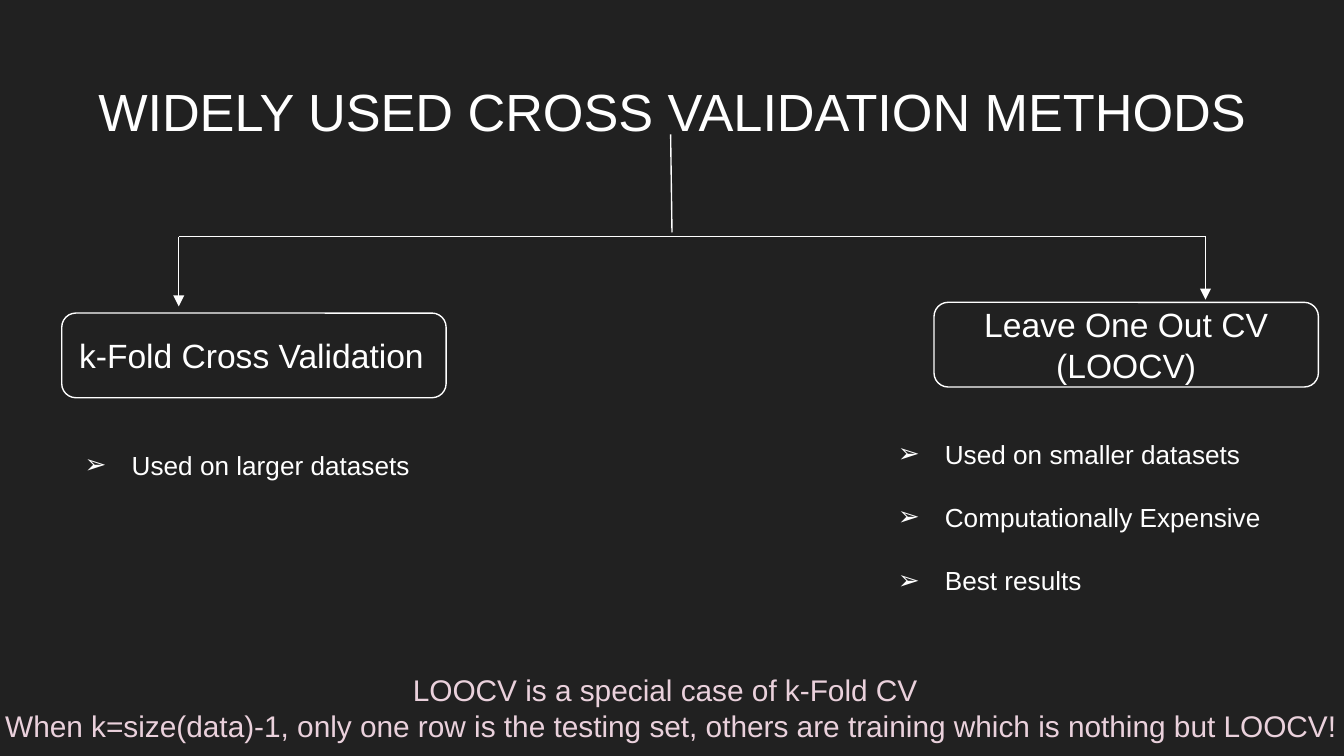
from lxml import etree
from pptx import Presentation
from pptx.dml.color import RGBColor
from pptx.enum.shapes import MSO_CONNECTOR, MSO_SHAPE
from pptx.enum.text import MSO_ANCHOR, MSO_AUTO_SIZE, PP_ALIGN
from pptx.oxml.ns import qn
from pptx.util import Inches, Pt

STRAIGHT = MSO_CONNECTOR.STRAIGHT
ROUNDED = MSO_SHAPE.ROUNDED_RECTANGLE
TOP, MIDDLE = MSO_ANCHOR.TOP, MSO_ANCHOR.MIDDLE
LEFT, CENTER = PP_ALIGN.LEFT, PP_ALIGN.CENTER

COLORS = {"background": "212121", "main": "FFFFFF", "note": "EAD1DC"}
FONT = "Arial"
TWO_CONTENT_LAYOUT = 3


def color(name):
    return RGBColor.from_string(COLORS[name])


def place(shape, box):
    shape.left, shape.top, shape.width, shape.height = (Inches(v) for v in box)


def write(shape, lines, size, align, anchor=TOP, color_name="main", gap=0):
    """Fill a shape with one paragraph per line and return the paragraphs."""
    frame = shape.text_frame
    frame.word_wrap = True
    frame.auto_size = MSO_AUTO_SIZE.NONE
    frame.vertical_anchor = anchor
    frame.margin_left = frame.margin_right = Inches(0.1)
    frame.margin_top = frame.margin_bottom = Inches(0.1)
    for index, line in enumerate(lines):
        paragraph = frame.add_paragraph() if index else frame.paragraphs[0]
        paragraph.alignment = align
        paragraph.space_before = Pt(gap if index else 0)
        run = paragraph.add_run()
        run.text = line
        run.font.name = FONT
        run.font.size = Pt(size)
        run.font.color.rgb = color(color_name)
    return frame.paragraphs


def indent(paragraph, first_line):
    properties = paragraph._p.get_or_add_pPr()
    properties.set("marL", str(Inches(0.5)))
    properties.set("indent", str(Inches(first_line)))
    return properties


def add_bullet(paragraph):
    properties = indent(paragraph, -0.35)
    bullet_color = etree.SubElement(properties, qn("a:buClr"))
    etree.SubElement(bullet_color, qn("a:srgbClr"), val=COLORS["main"])
    etree.SubElement(properties, qn("a:buFont"), typeface=FONT)
    etree.SubElement(properties, qn("a:buChar"), char="➢")


def add_line(slide, start, end, arrow=False):
    connector = slide.shapes.add_connector(
        STRAIGHT, *(Inches(v) for v in (*start, *end)))
    connector.line.color.rgb = color("main")
    connector.line.width = Pt(0.75)
    if arrow:
        etree.SubElement(connector.line._get_or_add_ln(), qn("a:tailEnd"), type="triangle")
    etree.SubElement(connector._element.spPr, qn("a:effectLst"))


def add_title(slide, box, text):
    place(slide.shapes.title, box)
    write(slide.shapes.title, [text], 28, CENTER)


def add_tree(slide, box, arrow_lengths):
    """Draw a stem down to a crossbar with an arrow at each of its ends."""
    left, top, width, height = box
    bar_y = top + height
    add_line(slide, (left, bar_y), (left + width, bar_y))
    middle = left + width / 2
    add_line(slide, (middle - 0.16, top), (middle - 0.15, bar_y - 0.03))
    for x, length in zip((left, left + width), arrow_lengths):
        add_line(slide, (x, bar_y), (x, bar_y + length), arrow=True)


def add_method(slide, box, name, align, placeholder, list_offset, list_width, points):
    """Place a method's name box and, below it, the list of its traits."""
    left, top, width, height = box
    shape = slide.shapes.add_shape(ROUNDED, *(Inches(v) for v in box))
    shape.shadow.inherit = False
    shape.fill.background()
    shape.line.color.rgb = color("main")
    shape.line.width = Pt(0.75)
    write(shape, [name], 18, align, MIDDLE)

    place(placeholder, (left + list_offset, top + height + 0.28, list_width, 0.53))
    for paragraph in write(placeholder, points, 14, LEFT, gap=17):
        add_bullet(paragraph)


def add_note(slide, box, lines):
    note = slide.shapes.add_textbox(*(Inches(v) for v in box))
    heading, detail = write(note, lines, 16, CENTER, color_name="note")
    detail.alignment = LEFT
    indent(detail, 0)


def main():
    presentation = Presentation()
    presentation.slide_width = Inches(10)
    presentation.slide_height = Inches(10) * 9 // 16
    slide = presentation.slides.add_slide(presentation.slide_layouts[TWO_CONTENT_LAYOUT])
    slide.background.fill.solid()
    slide.background.fill.fore_color.rgb = color("background")

    add_title(slide, (0.34, 0.49, 9.32, 0.63), "WIDELY USED CROSS VALIDATION METHODS")
    add_tree(slide, (1.33, 1, 7.64, 0.76), (0.52, 0.47))
    add_method(slide, (0.46, 2.33, 2.86, 0.63), "k-Fold Cross Validation", LEFT,
               slide.placeholders[1], -0.08, 3.44, ["Used on larger datasets"])
    add_method(slide, (6.95, 2.25, 2.86, 0.63), "Leave One Out CV (LOOCV)", CENTER,
               slide.placeholders[2], -0.52, 3.25,
               ["Used on smaller datasets", "Computationally Expensive", "Best results"])
    add_note(slide, (-0.56, 4.9, 11.02, 0.53), [
        "LOOCV is a special case of k-Fold CV",
        "When k=size(data)-1, only one row is the testing set, "
        "others are training which is nothing but LOOCV!"])
    presentation.save("out.pptx")


if __name__ == "__main__":
    main()
